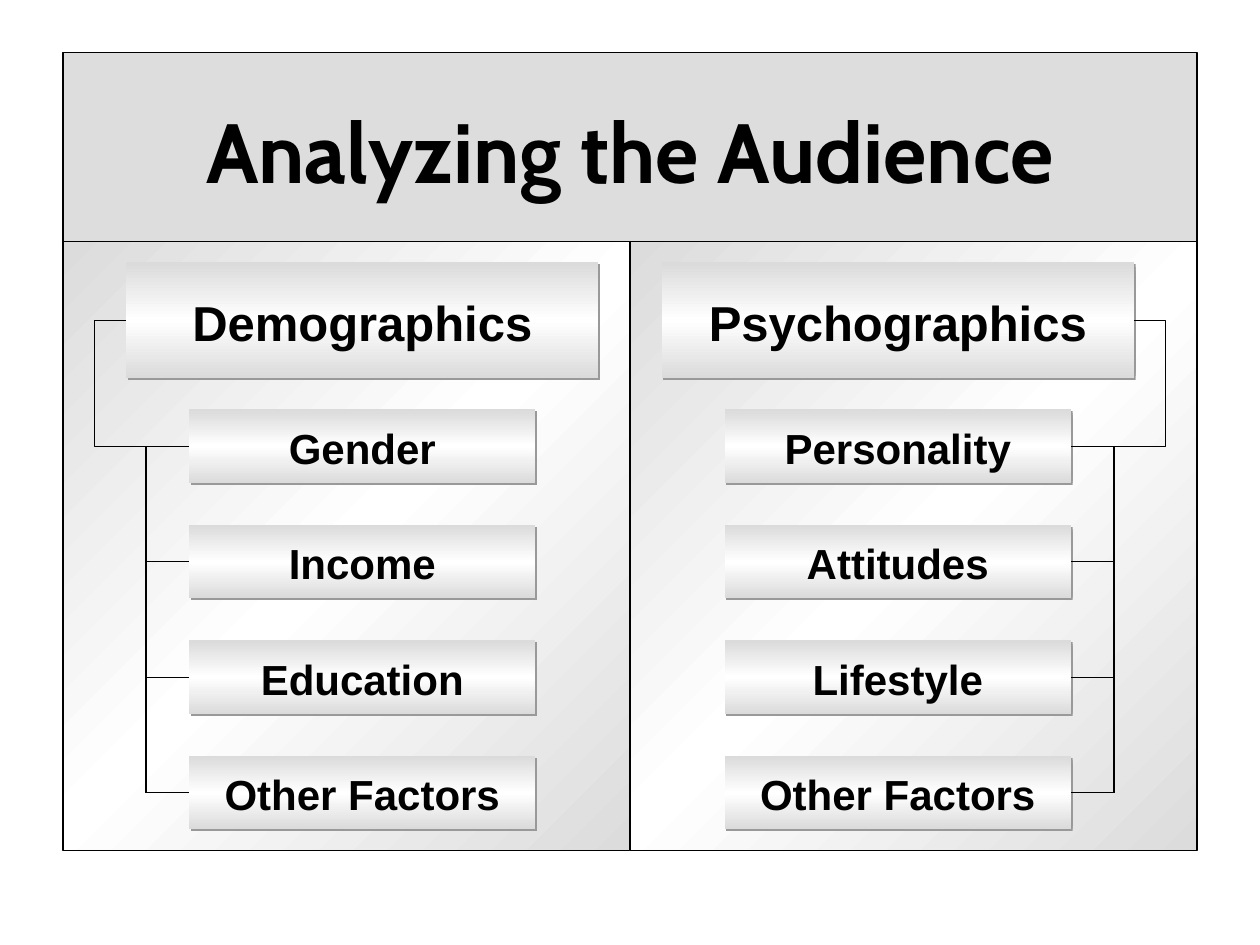
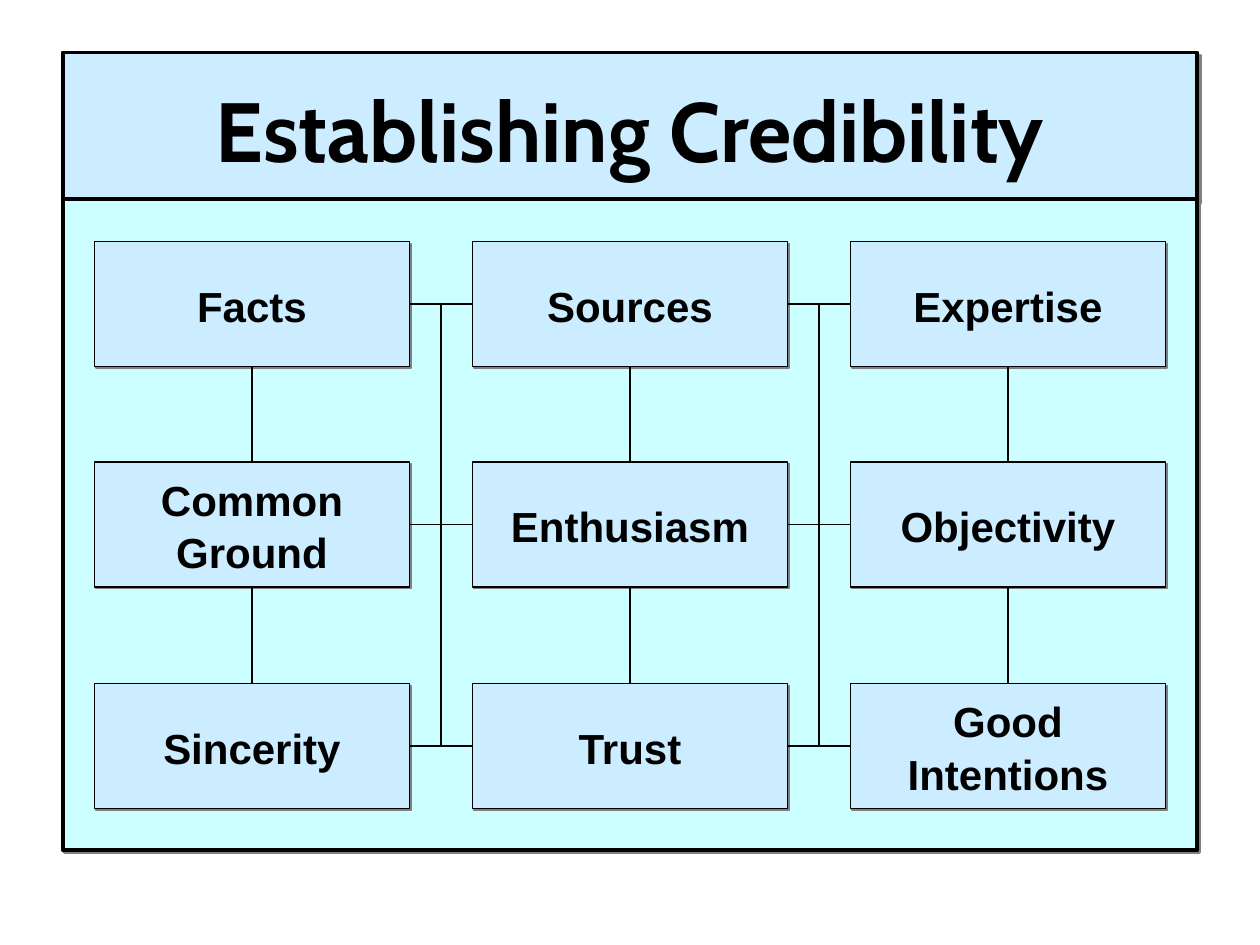
import copy

import lxml.etree
import pptx
import pptx.dml.color
import pptx.enum.shapes
import pptx.enum.text
import pptx.oxml.ns
import pptx.util

PX = 7620  # EMU in one px, 120 px to the inch
BLACK = pptx.dml.color.RGBColor(0x00, 0x00, 0x00)
WHITE = pptx.dml.color.RGBColor(0xFF, 0xFF, 0xFF)
TITLE_GRAY = pptx.dml.color.RGBColor(0xDD, 0xDD, 0xDD)
PANEL_GRAY = pptx.dml.color.RGBColor(0xDC, 0xDC, 0xDC)
BOX_GRAY = pptx.dml.color.RGBColor(0xDB, 0xDB, 0xDB)
SHADOW_LIGHT = pptx.dml.color.RGBColor(0x99, 0x99, 0x99)
SHADOW_DARK = pptx.dml.color.RGBColor(0x80, 0x80, 0x80)
SKY = pptx.dml.color.RGBColor(0xCC, 0xEC, 0xFF)
AQUA = pptx.dml.color.RGBColor(0xCC, 0xFF, 0xFF)

STRAIGHT = pptx.enum.shapes.MSO_CONNECTOR.STRAIGHT
ELBOW = pptx.enum.shapes.MSO_CONNECTOR.ELBOW
TOP, LEFT, BOTTOM, RIGHT = range(4)
TITLE_FORMAT = {"size": 48, "font": "Cabin"}


def add_box(page, text, left, top, width, height, *, color, angle=None, outline=None,
            shadow=None, shadow_distance=1.4, size=24, font="Arial"):
    """Add a rectangle; an angle gives it a gradient that is white in the middle."""
    box = page.shapes.add_shape(pptx.enum.shapes.MSO_SHAPE.RECTANGLE,
                                left * PX, top * PX, width * PX, height * PX)
    if angle is None:
        box.fill.solid()
        box.fill.fore_color.rgb = color
    else:
        box.fill.gradient()
        box.fill.gradient_angle = 360 - angle
        stop_list = box._element.spPr.xpath(".//a:gsLst")[0]
        stop_list.append(copy.deepcopy(stop_list[0]))
        for stop, position, rgb in zip(box.fill.gradient_stops, (0, 0.5, 1), (color, WHITE, color)):
            stop.position = position
            stop.color.rgb = rgb
    if outline:
        box.line.color.rgb = BLACK
        box.line.width = pptx.util.Pt(outline)
    else:
        box.line.fill.background()
    box.shadow.inherit = False
    if shadow:
        effects = box._element.spPr.find(pptx.oxml.ns.qn("a:effectLst"))
        outer = lxml.etree.SubElement(effects, pptx.oxml.ns.qn("a:outerShdw"), blurRad="0",
                                      dist=str(pptx.util.Pt(shadow_distance)),
                                      dir="2700000", algn="ctr", rotWithShape="0")
        lxml.etree.SubElement(outer, pptx.oxml.ns.qn("a:srgbClr"), val=str(shadow))
    if text:
        frame = box.text_frame
        frame.word_wrap = False
        frame.vertical_anchor = pptx.enum.text.MSO_ANCHOR.MIDDLE
        frame.text = text
        for para in frame.paragraphs:
            para.alignment = pptx.enum.text.PP_ALIGN.CENTER
            para.line_spacing = 1.05
            for span in para.runs:
                span.font.name = font
                span.font.size = pptx.util.Pt(size)
                span.font.bold = True
                span.font.color.rgb = BLACK
    return box


def add_link(page, kind, begin, end, bend=None):
    """Join two ends, each a point (x, y) or a (box, side) pair."""
    link = page.shapes.add_connector(kind, 0, 0, 0, 0)
    if isinstance(begin[0], int):
        link.begin_x, link.begin_y = begin[0] * PX, begin[1] * PX
    else:
        link.begin_connect(*begin)
    if isinstance(end[0], int):
        link.end_x, link.end_y = end[0] * PX, end[1] * PX
    else:
        link.end_connect(*end)
    link.line.color.rgb = BLACK
    link.line.width = pptx.util.Pt(0.75)
    shape_properties = link._element.spPr
    lxml.etree.SubElement(shape_properties, pptx.oxml.ns.qn("a:effectLst"))
    if bend is not None:
        values = shape_properties.xpath("./a:prstGeom/a:avLst")[0]
        lxml.etree.SubElement(values, pptx.oxml.ns.qn("a:gd"), name="adj1", fmla=f"val {bend}")


deck = pptx.Presentation()
deck.slide_width = 1200 * PX
deck.slide_height = 900 * PX
blank = deck.slide_layouts[6]

# Slide 1: panels and title
page = deck.slides.add_slide(blank)
for panel_left in (60, 600):
    add_box(page, "", panel_left, 230, 540, 580, color=PANEL_GRAY, angle=45, outline=0.75)
add_box(page, "Analyzing the Audience", 60, 50, 1080, 180, color=TITLE_GRAY, outline=0.75,
        **TITLE_FORMAT)

# Slide 1: one heading with its factors per panel, joined along the outer side
factor_groups = [
    ("Demographics", 120, 180, LEFT, 139, ["Gender", "Income", "Education", "Other Factors"]),
    ("Psychographics", 630, 690, RIGHT, 1061,
     ["Personality", "Attitudes", "Lifestyle", "Other Factors"]),
]
raised = {"color": BOX_GRAY, "angle": 90, "shadow": SHADOW_LIGHT}
for heading, heading_left, factor_left, side, rail_x, factors in factor_groups:
    heading_box = add_box(page, heading, heading_left, 250, 450, 110, size=28, **raised)
    factor_boxes = [add_box(page, factor, factor_left, 390 + 110 * row, 330, 70, **raised)
                    for row, factor in enumerate(factors)]
    add_link(page, ELBOW, (heading_box, side), (factor_boxes[0], side), bend=-50000)
    add_link(page, STRAIGHT, (rail_x, 425), (rail_x, 755))
    for row, factor_box in enumerate(factor_boxes[1:], start=1):
        add_link(page, STRAIGHT, (rail_x, 425 + 110 * row), (factor_box, side))

# Slide 2: title and body
page = deck.slides.add_slide(blank)
add_box(page, "Establishing Credibility", 60, 50, 1080, 140, color=SKY, outline=2.25,
        shadow=SHADOW_DARK, shadow_distance=2.8, **TITLE_FORMAT)
add_box(page, "", 60, 190, 1080, 620, color=AQUA, outline=2.25, shadow=SHADOW_DARK)

# Slide 2: three by three grid of credibility sources
credibility_rows = [
    ["Facts", "Sources", "Expertise"],
    ["Common\nGround", "Enthusiasm", "Objectivity"],
    ["Sincerity", "Trust", "Good\nIntentions"],
]
grid = [[add_box(page, label, 90 + 360 * column, 230 + 421 * row // 2, 300, 119,
                 color=SKY, outline=0.75, shadow=SHADOW_DARK)
         for column, label in enumerate(labels)]
        for row, labels in enumerate(credibility_rows)]

# Slide 2: links along rows, down columns, and from the centre to the corners
for row_boxes in grid:
    for left_box, right_box in zip(row_boxes, row_boxes[1:]):
        add_link(page, STRAIGHT, (left_box, RIGHT), (right_box, LEFT))
for column_boxes in zip(*grid):
    for upper_box, lower_box in zip(column_boxes, column_boxes[1:]):
        add_link(page, STRAIGHT, (upper_box, BOTTOM), (lower_box, TOP))
for row in (0, 2):
    add_link(page, ELBOW, (grid[1][1], LEFT), (grid[row][0], RIGHT))
    add_link(page, ELBOW, (grid[1][1], RIGHT), (grid[row][2], LEFT))

deck.save("out.pptx")
